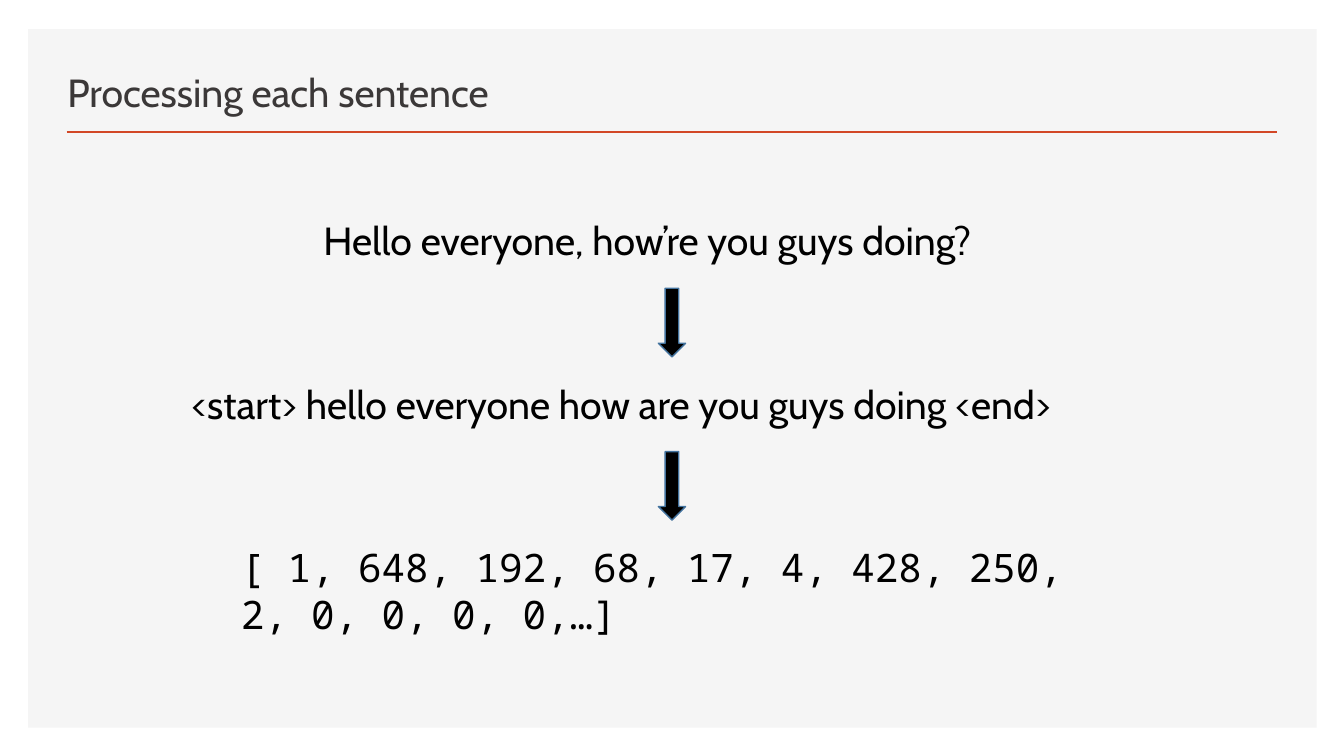
from pptx import Presentation
from pptx import util as u
from pptx.dml.color import RGBColor
from pptx.enum import shapes, text
from pptx.oxml.ns import qn
from lxml import etree

COLORS = {
    "panel": "F5F5F5",
    "rule": "D24726",
    "title": "3B3838",
    "ink": "000000",
    "edge": "43739E",
}
SANS, MONO = "Cabin", "Noto Sans Mono"


def rgb(name):
    return RGBColor.from_string(COLORS[name])


def add_form(slide, kind, box, fill, edge=None):
    form = slide.shapes.add_shape(kind, *map(u.Inches, box))
    form.shadow.inherit = False
    form.fill.solid()
    form.fill.fore_color.rgb = rgb(fill)
    if edge:
        form.line.color.rgb = rgb(edge)
        form.line.width = u.Pt(1)
    else:
        form.line.fill.background()


def add_rule(slide, left, right, top):
    rule = slide.shapes.add_connector(
        shapes.MSO_CONNECTOR.STRAIGHT,
        u.Inches(left), u.Inches(top), u.Inches(right), u.Inches(top))
    rule.line.color.rgb = rgb("rule")
    rule.line.width = u.Pt(2)
    etree.SubElement(rule._element.spPr, qn("a:effectLst"))


def add_text(slide, box, words, font=SANS, color="ink",
             anchor=text.MSO_ANCHOR.TOP):
    frame = slide.shapes.add_textbox(*map(u.Inches, box)).text_frame
    frame.word_wrap = True
    frame.vertical_anchor = anchor
    run = frame.paragraphs[0].add_run()
    run.text = words
    run.font.name = font
    run.font.size = u.Pt(28)
    run.font.color.rgb = rgb(color)


def main():
    deck = Presentation()
    deck.slide_width, deck.slide_height = u.Inches(13.33), u.Inches(7.5)
    slide = deck.slides.add_slide(deck.slide_layouts[6])

    # Panel and heading
    add_form(slide, shapes.MSO_SHAPE.RECTANGLE,
             (0.28, 0.29, 12.78, 6.93), "panel")
    add_rule(slide, 0.66, 12.67, 1.31)
    add_text(slide, (0.57, 0.49, 7.52, 0.7), "Processing each sentence",
             color="title", anchor=text.MSO_ANCHOR.BOTTOM)

    # Stages of the sentence, evenly spaced, with an arrow after each but the last
    stages = [
        (3.11, 7.12, "Hello everyone, how’re you guys doing?", SANS),
        (1.8, 9.74, "<start> hello everyone how are you guys doing <end>", SANS),
        (2.29, 8.7, "[ 1, 648, 192, 68, 17, 4, 428, 250, 2, 0, 0, 0, 0,…]", MONO),
    ]
    first, step = 2.1, 1.62
    for row, (left, width, words, font) in enumerate(stages):
        top = first + row * step
        add_text(slide, (left, top, width, 0.57), words, font)
        if row < len(stages) - 1:
            add_form(slide, shapes.MSO_SHAPE.DOWN_ARROW,
                     (6.53, top + 0.76, 0.27, 0.68), "ink", "edge")

    deck.save("out.pptx")


if __name__ == "__main__":
    main()
